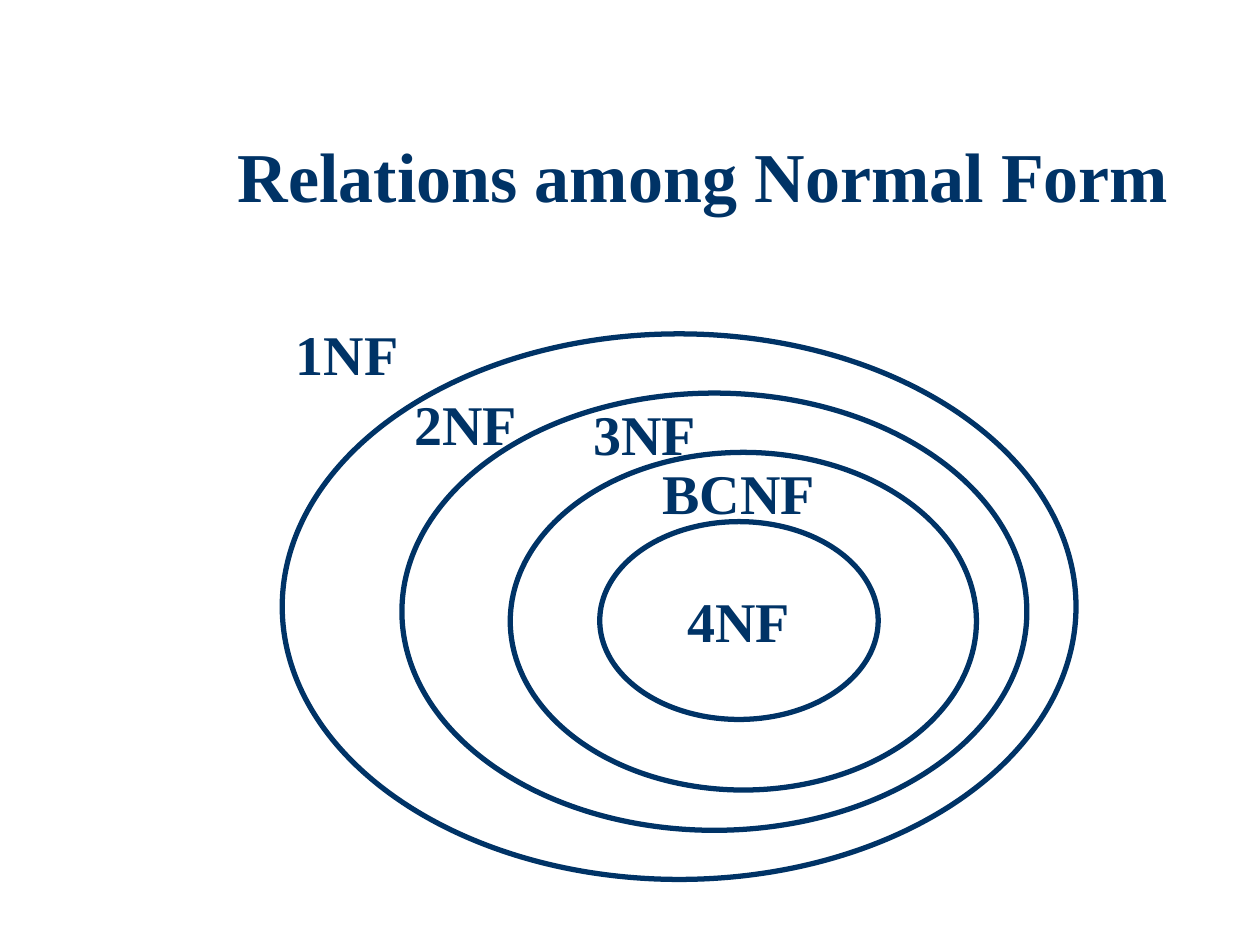
import dataclasses

import pptx
import pptx.dml.color
import pptx.enum.shapes
import pptx.enum.text
import pptx.util

ANCHOR = pptx.enum.text.MSO_ANCHOR
ALIGN = pptx.enum.text.PP_ALIGN
COLUMNS, ROWS = 100, 75


@dataclasses.dataclass(frozen=True)
class Theme:
    ink: pptx.dml.color.RGBColor = pptx.dml.color.RGBColor(0x00, 0x33, 0x66)
    font: str = "Times New Roman"
    title_size: int = 40
    label_size: int = 32
    line_width: int = 3


@dataclasses.dataclass(frozen=True)
class Box:
    """An area in columns and rows of the slide grid."""
    left: float
    top: float
    width: float
    height: float

    def inside(self, left, top, width, height):
        return Box(self.left + left, self.top + top, width, height)

    def lengths(self):
        column = pptx.util.Inches(10) / COLUMNS
        row = pptx.util.Inches(7.5) / ROWS
        return (round(self.left * column), round(self.top * row),
                round(self.width * column), round(self.height * row))


THEME = Theme()

# Outermost ring first: left, top, width, height within the diagram
RINGS = [
    (0, 1.6, 63, 43.3),
    (9.5, 6.3, 49.6, 34.7),
    (18.1, 11, 37, 26.8),
    (25.2, 16.5, 22.1, 15.7),
]
LABEL_HEIGHT = 6.3
# Text, left, top, width within the diagram
LABELS = [
    ("1NF", 0.1, 0, 10.2),
    ("2NF", 9.5, 5.5, 10.2),
    ("3NF", 23.7, 6.3, 10.2),
    ("BCNF", 29.2, 11, 14.1),
]
CORE_LABEL = "4NF"


def write_text(shape, text, size=THEME.label_size, align=ALIGN.LEFT,
               anchor=ANCHOR.TOP, wrap=False, line_spacing=None):
    frame = shape.text_frame
    frame.word_wrap = wrap
    frame.vertical_anchor = anchor
    paragraph = frame.paragraphs[0]
    paragraph.alignment = align
    if line_spacing:
        paragraph.line_spacing = line_spacing
    run = paragraph.add_run()
    run.text = text
    run.font.name = THEME.font
    run.font.size = pptx.util.Pt(size)
    run.font.bold = True
    run.font.color.rgb = THEME.ink


def place_title(slide, box, text):
    title = slide.shapes.title
    title.left, title.top, title.width, title.height = box.lengths()
    write_text(title, text, size=THEME.title_size, align=ALIGN.CENTER,
               wrap=True, line_spacing=0.9)


def add_ring(slide, box):
    ring = slide.shapes.add_shape(
        pptx.enum.shapes.MSO_SHAPE.OVAL, *box.lengths())
    ring.shadow.inherit = False
    ring.fill.background()
    ring.line.color.rgb = THEME.ink
    ring.line.width = pptx.util.Pt(THEME.line_width)
    return ring


def place_diagram(slide, box):
    # Nested rings, the innermost one holding its own label
    rings = [add_ring(slide, box.inside(*ring)) for ring in RINGS]
    write_text(rings[-1], CORE_LABEL, align=ALIGN.CENTER, anchor=ANCHOR.MIDDLE)

    # Labels of the outer normal forms
    for text, left, top, width in LABELS:
        area = box.inside(left, top, width, LABEL_HEIGHT)
        label = slide.shapes.add_textbox(*area.lengths())
        write_text(label, text)
        label.text_frame.auto_size = (
            pptx.enum.text.MSO_AUTO_SIZE.SHAPE_TO_FIT_TEXT)


def main():
    presentation = pptx.Presentation()
    presentation.slide_width = pptx.util.Inches(10)
    presentation.slide_height = pptx.util.Inches(7.5)
    title_only = presentation.slide_layouts[5]
    slide = presentation.slides.add_slide(title_only)
    place_title(slide, Box(15.8, 10.8, 80, 9.2), "Relations among Normal Form")
    place_diagram(slide, Box(22.4, 24.9, 63, 44.9))
    presentation.save("out.pptx")


if __name__ == "__main__":
    main()
